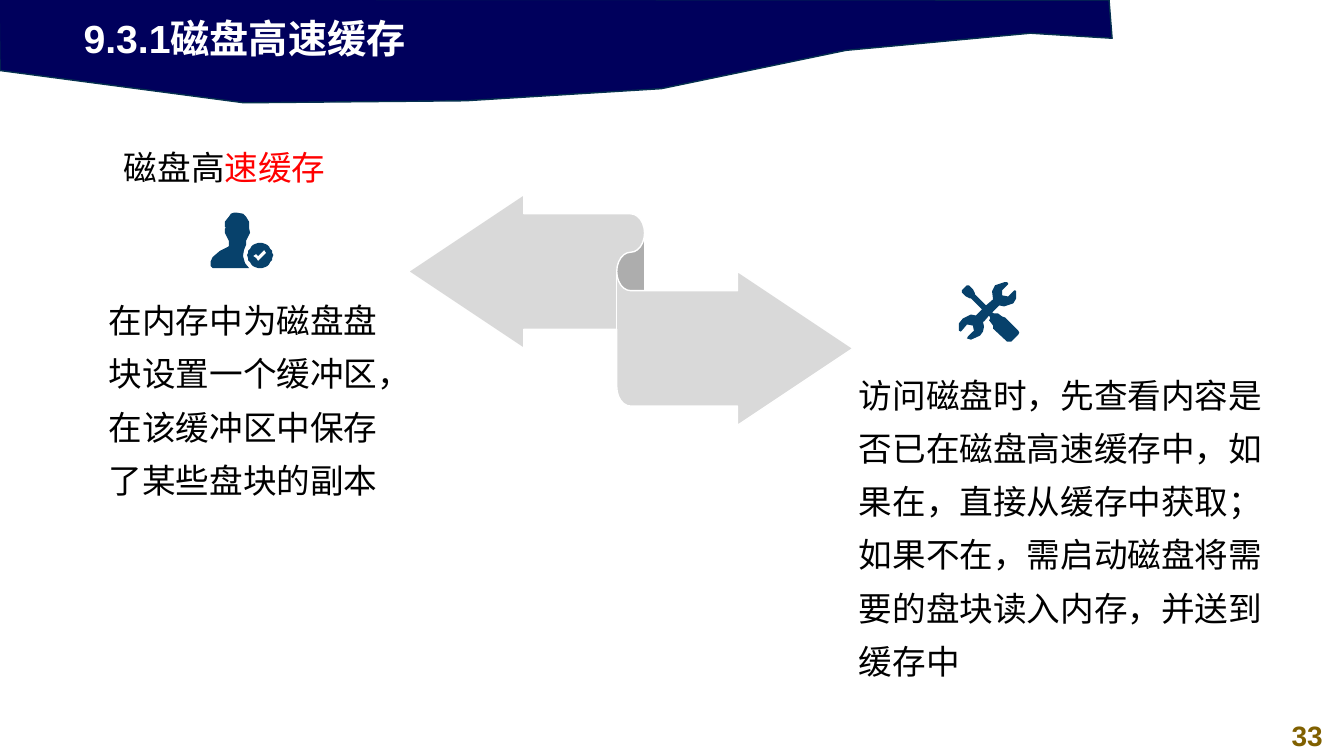
import math
from pptx import Presentation, util as u
from pptx.dml.color import RGBColor
from pptx.enum import shapes, text

WIDE, HIGH = 13.33, 7.5
NAVY, ICON, GREY = "00005C", "07416B", "D9D9D9"
BODY = dict(size=u.Pt(24), name="Arial")
PROSE = dict(line_spacing=1.32)

BANNER = "0,0 1,71 243,103 463,101 657,89 840,51 1023,34 1104,39 1101,1"
TICK = "53,37 47,43 45,41 42,43 45,45 47,48 50,45 55,40"
PERSON = """26,0 32,1 35,4 38,9 38,14 38,15 39,20 37,24 35,28 35,32 33,37 32,43 34,50
38,55 2,55 0,53 0,48 2,44 9,38 17,34 18,33 18,28 16,24 14,20 14,16 15,15 14,14
14,9 18,4 20,1 23,0"""
TOOLS = """60,48 47,35 44,34 40,31 37,31 36,31 34,30 41,23 46,24 55,21 58,16 58,9 57,8
56,8 50,14 49,14 44,13 44,9 44,8 50,2 50,1 49,0 46,0 37,3 34,9 35,17 28,23 17,12
17,11 15,7 11,3 10,3 9,3 4,8 4,10 8,14 12,16 13,16 24,27 19,32 18,33 13,32 5,36
1,41 1,48 3,49 4,48 9,42 10,42 15,43 16,48 15,49 10,54 9,56 10,56 13,57 22,53
25,49 26,44 25,39 26,39 31,33 32,35 32,36 31,38 32,39 35,43 35,46 49,59 53,59
60,52 61,50"""


def color(code):
    return RGBColor.from_string(code)


def style(item, look):
    for key, value in look.items():
        setattr(item, key, value)


def paint(shape, fill, line=None):
    shape.shadow.inherit = False
    shape.fill.solid()
    shape.fill.fore_color.rgb = color(fill)
    if line:
        shape.line.color.rgb = color(line)
        shape.line.width = u.Pt(1)
    else:
        shape.line.fill.background()


def write(slide, box, runs, font, frame=None, para=None):
    body = slide.shapes.add_textbox(*map(u.Inches, box)).text_frame
    style(body, dict(word_wrap=True) | (frame or {}))
    line = body.paragraphs[0]
    style(line, para or {})
    for words, code in runs:
        run = line.add_run()
        run.text = words
        style(run.font, font)
        run.font.color.rgb = color(code)


def points(data):
    return [tuple(map(int, pair.split(","))) for pair in data.split()]


def ring(x, y, size, count=32):
    turns = [math.tau * i / count for i in range(count)]
    return [(x + size * math.cos(a), y + size * math.sin(a)) for a in turns]


def trace(slide, left, top, loops, fill, line=None):
    first, *rest = loops
    pen = slide.shapes.build_freeform(*first[0], scale=u.Inches(0.01))
    pen.add_line_segments(first[1:])
    for loop in rest:
        pen.move_to(*loop[0])
        pen.add_line_segments(loop[1:])
    shape = pen.convert_to_shape(u.Inches(left), u.Inches(top))
    paint(shape, fill, line)


def header(slide, left, top):
    trace(slide, left, top, [points(BANNER)], NAVY, "05304F")
    write(slide, (left + 0.74, top + 0.1, 7.68, 0.57),
          [("9.3.1磁盘高速缓存", "FFFFFF")],
          dict(size=u.Pt(28), name="Arial", bold=True))


def cache(slide, left, top):
    write(slide, (left + 0.15, top, 8.67, 0.44),
          [("磁盘高", "000000"), ("速缓存", "FF0000")], BODY,
          dict(vertical_anchor=text.MSO_ANCHOR.MIDDLE))
    trace(slide, left + 1.11, top + 0.67,
          [points(TICK), ring(49, 42.5, 12.5), points(PERSON)], ICON)
    write(slide, (left, top + 1.36, 3.07, 2.82),
          [("在内存中为磁盘盘块设置一个缓冲区，在该缓冲区中保存了某些盘块的副本", "000000")],
          BODY, para=PROSE)


def lookup(slide, left, top):
    trace(slide, left + 1.08, top, [points(TOOLS)], ICON)
    write(slide, (left, top + 0.74, 4.44, 2.88),
          [("访问磁盘时，先查看内容是否已在磁盘高速缓存中，如果在，直接从缓存中获取；"
            "如果不在，需启动磁盘将需要的盘块读入内存，并送到缓存中", "000000")],
          BODY, para=PROSE)


def ribbon(slide, *box):
    kind = shapes.MSO_SHAPE.LEFT_RIGHT_RIBBON
    shape = slide.shapes.add_shape(kind, *map(u.Inches, box))
    for i, value in enumerate((0.5, 0.5, 0.333)):
        shape.adjustments[i] = value
    paint(shape, GREY, "FFFFFF")


def footer(slide, wide, high):
    write(slide, (WIDE - wide, HIGH - high, wide, high), [("33", "806000")],
          dict(size=u.Pt(20), name="Arial", bold=True),
          para=dict(alignment=text.PP_ALIGN.CENTER))


def main():
    deck = Presentation()
    style(deck, dict(slide_width=u.Inches(WIDE), slide_height=u.Inches(HIGH)))
    slide = deck.slides.add_slide(deck.slide_layouts[6])
    header(slide, -0.01, -0.01)
    footer(slide, 0.73, 0.42)
    cache(slide, 0.98, 1.44)
    ribbon(slide, 4.05, 1.93, 4.41, 2.29)
    lookup(slide, 8.42, 2.8)
    deck.save("out.pptx")


if __name__ == "__main__":
    main()
